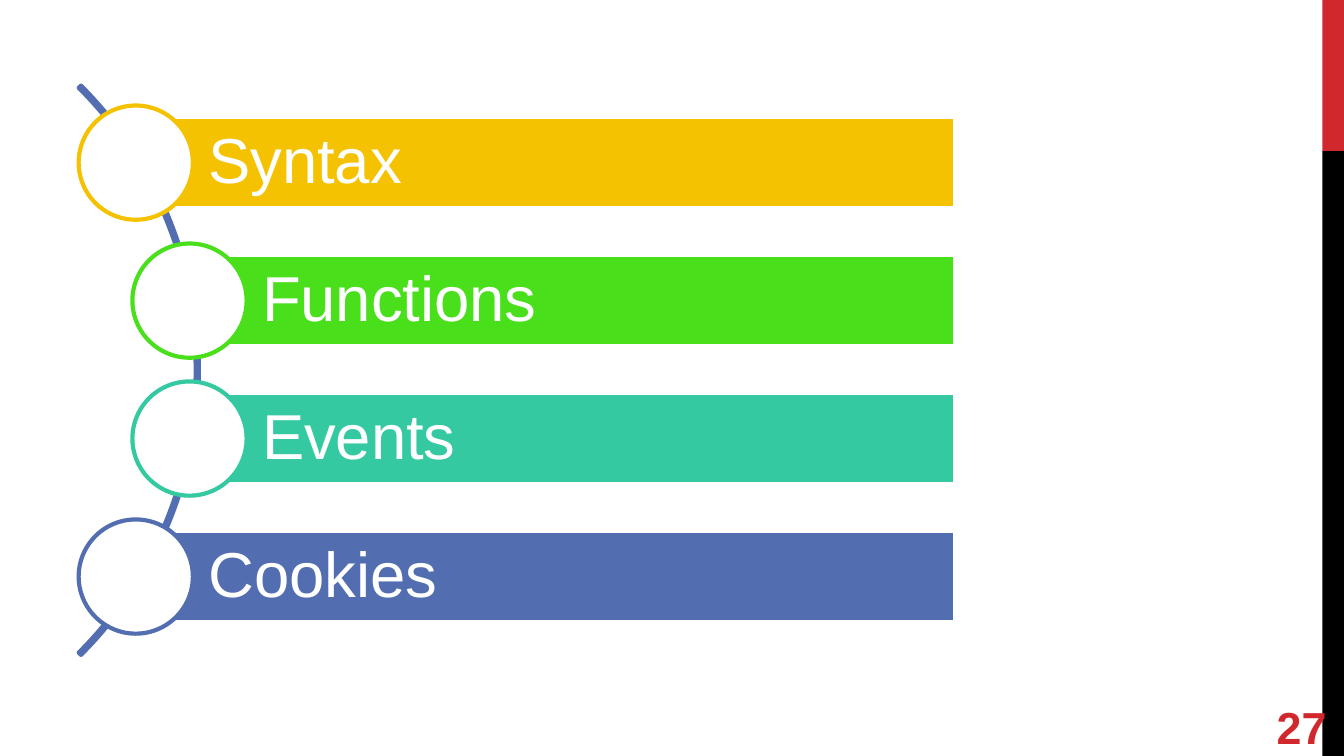
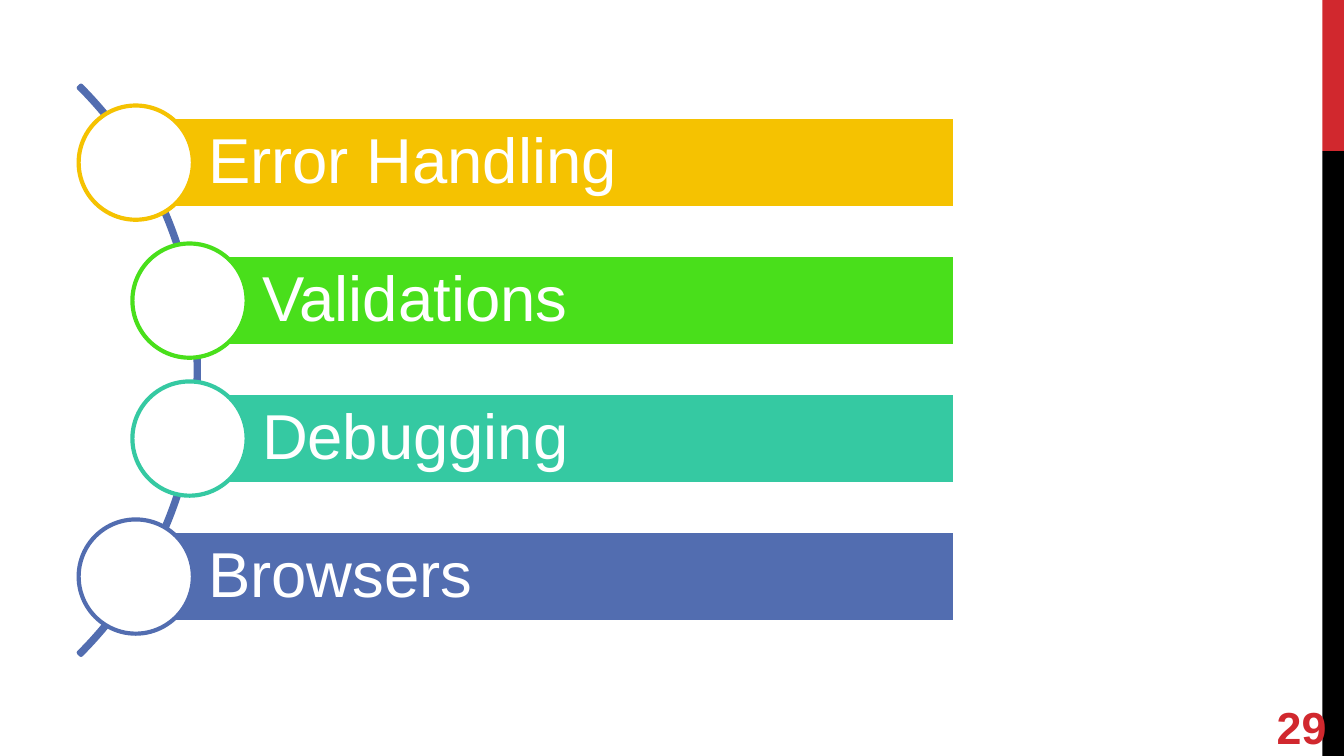
import pptx
import pptx.util
import pptx.dml.color
import pptx.enum.shapes
import pptx.enum.text

# Content: page number and the four topics of each slide
TOPIC_SLIDES = [
    ("27", ["Syntax", "Functions", "Events", "Cookies"]),
    ("29", ["Error Handling", "Validations", "Debugging", "Browsers"]),
]

# Shared style
COLORS = {
    "white": "FFFFFF", "black": "000000", "red": "D1282E",
    "yellow": "F5C201", "green": "49DF1B", "teal": "35C9A2", "blue": "526DB0",
}
TOPIC_COLORS = ["yellow", "green", "teal", "blue"]
FONT = "Arial"
LINE_WIDTH = 2.25

# Geometry in inches, on a 16:9 slide
SLIDE_WIDTH = 10
SLIDE_HEIGHT = SLIDE_WIDTH * 9 / 16
BAND_WIDTH = 0.16
RED_BAND_HEIGHT = SLIDE_HEIGHT / 5
FIRST_CENTER, LAST_CENTER = 1.21, 4.29
BAR_LEFTS = [1.01, 1.41, 1.41, 1.01]
BAR_RIGHT, BAR_HEIGHT = 7.11, 0.68
CIRCLE_SIZE = 0.85
ARC_BOX = (-4.51, -0.24, 5.99, 5.99)
ARC_ADJUSTMENTS = (189, 27, 0.004)  # 315 degrees to 45 degrees, thin ring

SHAPES = pptx.enum.shapes.MSO_SHAPE
ALIGN = pptx.enum.text.PP_ALIGN


def rgb(name):
    return pptx.dml.color.RGBColor.from_string(COLORS[name])


def add_shape(slide, kind, box, fill=None, line=None):
    shape = slide.shapes.add_shape(kind, *map(pptx.util.Inches, box))
    shape.shadow.inherit = False
    if fill:
        shape.fill.solid()
        shape.fill.fore_color.rgb = rgb(fill)
    else:
        shape.fill.background()
    if line:
        shape.line.color.rgb = rgb(line)
        shape.line.width = pptx.util.Pt(LINE_WIDTH)
    else:
        shape.line.fill.background()
    return shape


def set_text(shape, text, size, color, margins, align, bold=False):
    frame = shape.text_frame
    frame.text = text
    frame.word_wrap = True
    frame.vertical_anchor = pptx.enum.text.MSO_ANCHOR.MIDDLE
    (frame.margin_left, frame.margin_top,
     frame.margin_right, frame.margin_bottom) = map(pptx.util.Inches, margins)
    paragraph = frame.paragraphs[0]
    paragraph.alignment = align
    font = paragraph.runs[0].font
    font.name, font.size, font.bold = FONT, pptx.util.Pt(size), bold
    font.color.rgb = rgb(color)
    return paragraph


def add_frame(slide, number):
    # Side bands
    left = SLIDE_WIDTH - BAND_WIDTH
    add_shape(slide, SHAPES.RECTANGLE, (left, 0, BAND_WIDTH, RED_BAND_HEIGHT), "red")
    add_shape(slide, SHAPES.RECTANGLE,
              (left, RED_BAND_HEIGHT, BAND_WIDTH, SLIDE_HEIGHT - RED_BAND_HEIGHT), "black")
    # Page number
    box = slide.shapes.add_textbox(*map(pptx.util.Inches, (9.27, 5.19, 0.6, 0.43)))
    set_text(box, number, 24, "red", (0, 0, 0, 0), ALIGN.RIGHT, bold=True)


def add_topics(slide, topics):
    # Arc behind the circles
    arc = add_shape(slide, SHAPES.BLOCK_ARC, ARC_BOX, line="blue")
    for index, value in enumerate(ARC_ADJUSTMENTS):
        arc.adjustments[index] = value

    # Each circle is centred on the left edge of its bar
    pitch = (LAST_CENTER - FIRST_CENTER) / (len(topics) - 1)
    for index, (topic, color, left) in enumerate(zip(topics, TOPIC_COLORS, BAR_LEFTS)):
        center = FIRST_CENTER + index * pitch
        bar = add_shape(slide, SHAPES.RECTANGLE,
                        (left, center - BAR_HEIGHT / 2, BAR_RIGHT - left, BAR_HEIGHT),
                        color, "white")
        paragraph = set_text(bar, topic, 34, "white", (0.54, 0.09, 0.09, 0.09), ALIGN.LEFT)
        paragraph.line_spacing = 0.9
        radius = CIRCLE_SIZE / 2
        add_shape(slide, SHAPES.OVAL,
                  (left - radius, center - radius, CIRCLE_SIZE, CIRCLE_SIZE),
                  "white", color)


def main():
    presentation = pptx.Presentation()
    presentation.slide_width = pptx.util.Inches(SLIDE_WIDTH)
    presentation.slide_height = pptx.util.Inches(SLIDE_HEIGHT)
    for number, topics in TOPIC_SLIDES:
        slide = presentation.slides.add_slide(presentation.slide_layouts[6])
        add_frame(slide, number)
        add_topics(slide, topics)
    presentation.save("out.pptx")


if __name__ == "__main__":
    main()
